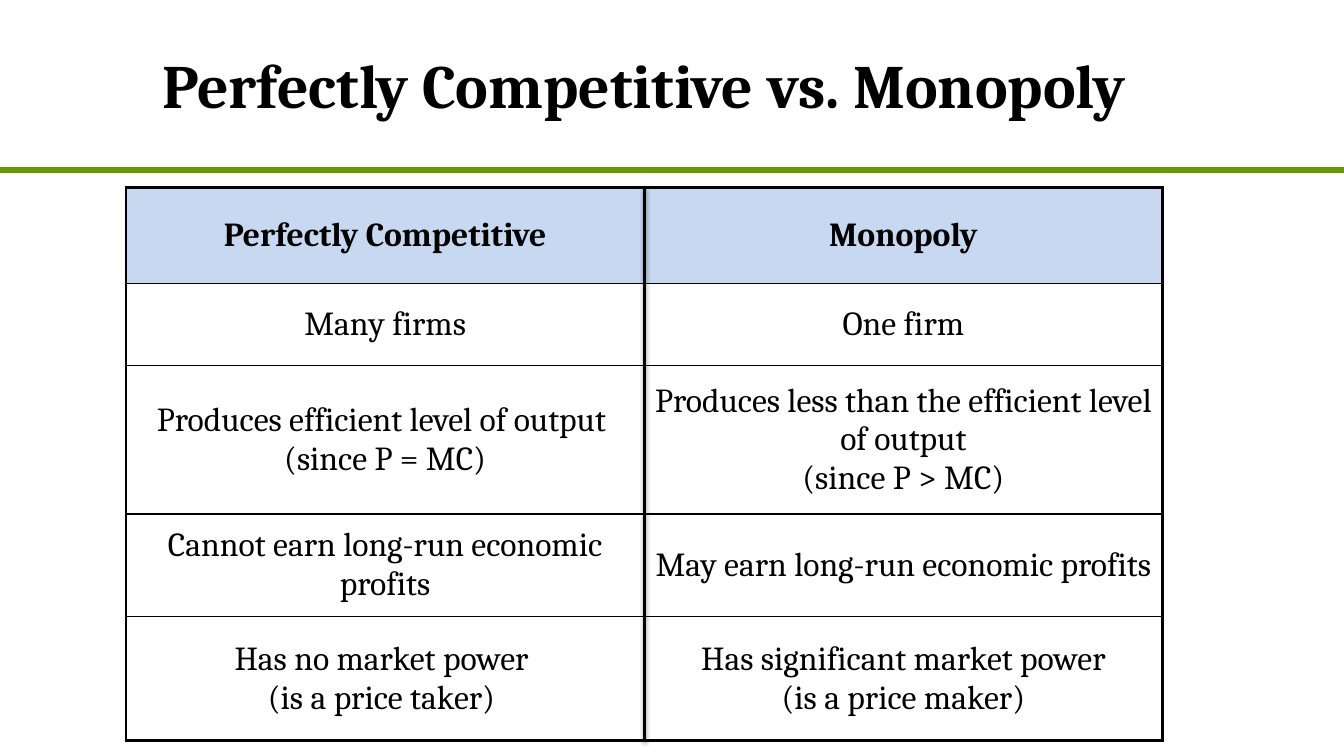
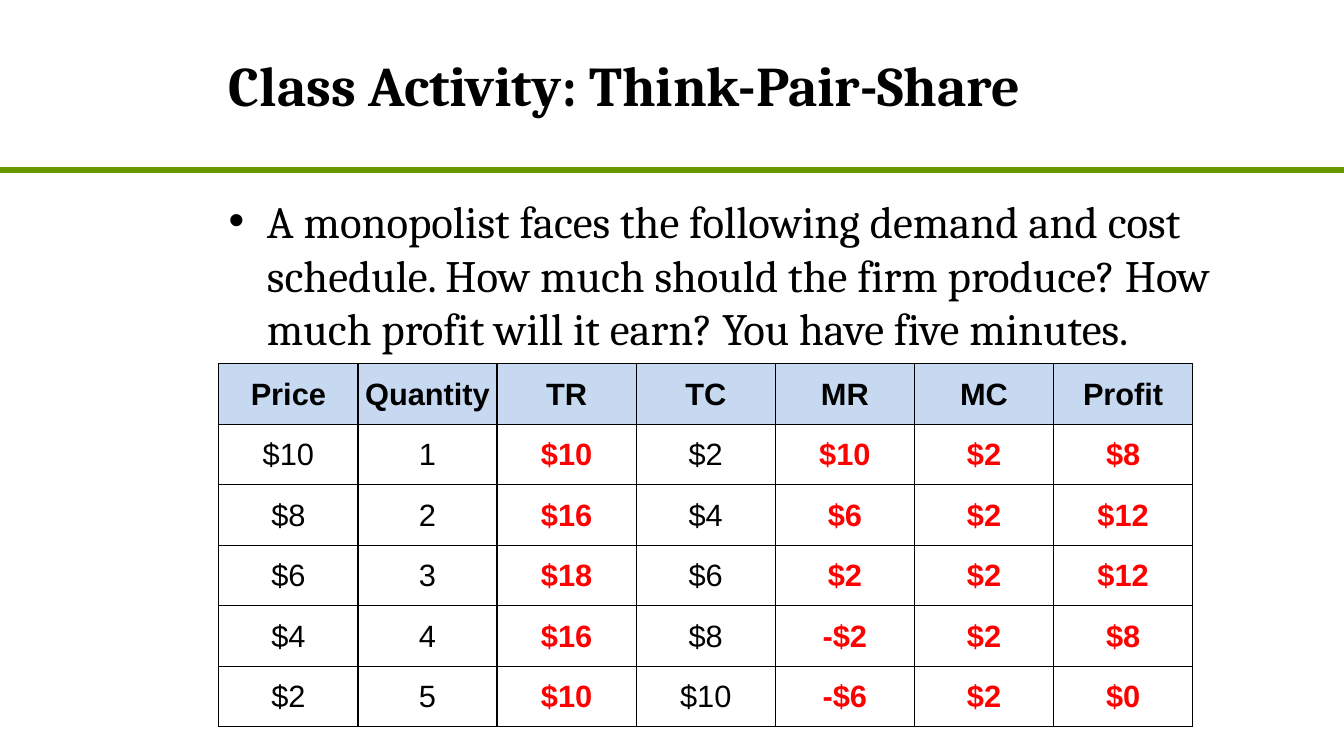
from dataclasses import dataclass

from lxml import etree
from pptx import Presentation, util as u
from pptx.dml.color import RGBColor
from pptx.enum import shapes, text as t
from pptx.oxml import ns, parse_xml

PX = 9144  # EMU; 100 px to the inch
WIDTH, HEIGHT = 1333, 750


@dataclass(frozen=True)
class Theme:
    ink: str = "000000"
    paper: str = "FFFFFF"
    rule: str = "669900"
    header: str = "C6D9F1"
    answer: str = "FF0000"
    serif: str = "Cambria"
    sans: str = "Arial"
    title: int = 44
    long_title: int = 40
    body: int = 32
    table: int = 24
    figures: int = 22


theme = Theme()


def write_text(frame, content, *, size, font=theme.serif, color=theme.ink, bold=False,
               align=t.PP_ALIGN.CENTER, bullet=None, indent=0):
    """Write each line of content as a paragraph; indent hangs the bullet, in px."""
    frame.word_wrap = True
    for number, line in enumerate(content.split("\n")):
        paragraph = frame.add_paragraph() if number else frame.paragraphs[0]
        paragraph.alignment = align
        if bullet:
            properties = paragraph._p.get_or_add_pPr()
            properties.set("marL", str(indent * PX))
            properties.set("indent", str(-indent * PX))
            etree.SubElement(properties, ns.qn("a:buFont")).set("typeface", theme.sans)
            etree.SubElement(properties, ns.qn("a:buChar")).set("char", bullet)
        run = paragraph.add_run()
        run.text = line
        run.font.name = font
        run.font.size = u.Pt(size)
        run.font.bold = bold
        run.font.color.rgb = RGBColor.from_string(color)


def add_grid(slide, rows, left, top, widths, heights, *, margins, outer, across, down,
             size, font, answer_columns=()):
    """Add a table; outer, across and down are the border widths in points."""
    table = slide.shapes.add_table(len(rows), len(widths), left * PX, top * PX,
                                   sum(widths) * PX, sum(heights) * PX).table
    table.horz_banding = False
    for column, width in zip(table.columns, widths):
        column.width = width * PX
    for r, (values, height) in enumerate(zip(rows, heights)):
        table.rows[r].height = height * PX
        for c, value in enumerate(values):
            cell = table.cell(r, c)
            is_answer = r > 0 and c in answer_columns
            cell.vertical_anchor = t.MSO_ANCHOR.MIDDLE
            (cell.margin_left, cell.margin_top,
             cell.margin_right, cell.margin_bottom) = (m * PX for m in margins)
            cell.fill.solid()
            cell.fill.fore_color.rgb = RGBColor.from_string(theme.paper if r else theme.header)
            write_text(cell.text_frame, value, size=size, font=font,
                       bold=r == 0 or is_answer,
                       color=theme.answer if is_answer else theme.ink)
            borders = {
                "lnL": down if c else outer,
                "lnR": down if c < len(widths) - 1 else outer,
                "lnT": across if r else outer,
                "lnB": across if r < len(rows) - 1 else outer,
            }
            for position, (side, points) in enumerate(borders.items()):
                paint = (f'<a:solidFill><a:srgbClr val="{theme.ink}"/></a:solidFill>'
                         if points else "<a:noFill/>")
                cell._tc.get_or_add_tcPr().insert(position, parse_xml(
                    f'<a:{side} {ns.nsdecls("a")} w="{u.Pt(points)}">{paint}</a:{side}>'))


presentation = Presentation()
presentation.slide_width = WIDTH * PX
presentation.slide_height = HEIGHT * PX
title_only = presentation.slide_layouts[5]

# Shared title and rule
titles = [
    ("Perfectly Competitive vs. Monopoly", 43, 1192, theme.title, t.PP_ALIGN.CENTER),
    ("Class Activity: Think-Pair-Share", 217, 900, theme.long_title, t.PP_ALIGN.LEFT),
]
for content, left, width, size, align in titles:
    slide = presentation.slides.add_slide(title_only)
    rule = slide.shapes.add_connector(shapes.MSO_CONNECTOR.STRAIGHT,
                                      0, 169 * PX, WIDTH * PX, 169 * PX)
    rule.line.color.rgb = RGBColor.from_string(theme.rule)
    rule.line.width = u.Pt(4.5)
    etree.SubElement(rule._element.spPr, ns.qn("a:effectLst"))
    title = slide.shapes.title
    title.left, title.top, title.width, title.height = left * PX, 0, width * PX, 167 * PX
    title.text_frame.vertical_anchor = t.MSO_ANCHOR.MIDDLE
    write_text(title.text_frame, content, size=size, bold=True, align=align)

comparison, activity = presentation.slides

# Market comparison
markets = [
    ("Perfectly Competitive", "Monopoly"),
    ("Many firms", "One firm"),
    ("Produces efficient level of output \n(since P = MC)",
     "Produces less than the efficient level of output\n(since P > MC)"),
    ("Cannot earn long-run economic profits", "May earn long-run economic profits"),
    ("Has no market power \n(is a price taker) ",
     "Has significant market power\n(is a price maker)"),
]
table_left, table_top, column_width = 125, 186, 514
row_heights = [95, 82, 147, 102, 123]
add_grid(comparison, markets, table_left, table_top, [column_width] * 2, row_heights,
         margins=(7, 0, 7, 0), outer=2.25, across=1, down=0,
         size=theme.table, font=theme.serif)

middle = (table_left + column_width) * PX
divider = comparison.shapes.add_connector(
    shapes.MSO_CONNECTOR.STRAIGHT, middle, table_top * PX,
    middle, (table_top + sum(row_heights)) * PX)
divider.line.color.rgb = RGBColor.from_string(theme.ink)
divider.line.width = u.Pt(2)
divider._element.spPr.append(parse_xml(
    f'<a:effectLst {ns.nsdecls("a")}>'
    f'<a:outerShdw blurRad="{u.Pt(3.1)}" dist="{u.Pt(1.6)}" dir="5400000" rotWithShape="0">'
    f'<a:srgbClr val="{theme.ink}"><a:alpha val="38000"/></a:srgbClr>'
    '</a:outerShdw></a:effectLst>'))

# Class activity
question = activity.shapes.add_textbox(217 * PX, 187 * PX, 1046 * PX, 128 * PX)
write_text(question.text_frame,
           "A monopolist faces the following demand and cost schedule. How much should "
           "the firm produce? How much profit will it earn? You have five minutes.",
           size=theme.body, align=t.PP_ALIGN.LEFT, bullet="•", indent=38)

schedule = [
    ("Price", "Quantity", "TR", "TC", "MR", "MC", "Profit"),
    ("$10", "1", "$10", "$2", "$10", "$2", "$8"),
    ("$8", "2", "$16", "$4", "$6", "$2", "$12"),
    ("$6", "3", "$18", "$6", "$2", "$2", "$12"),
    ("$4", "4", "$16", "$8", "-$2", "$2", "$8"),
    ("$2", "5", "$10", "$10", "-$6", "$2", "$0"),
]
add_grid(activity, schedule, 217, 361, [138] * 7, [60] * len(schedule),
         margins=(1, 1, 1, 0), outer=1, across=1, down=1,
         size=theme.figures, font=theme.sans, answer_columns=(2, 4, 5, 6))

presentation.save("out.pptx")
